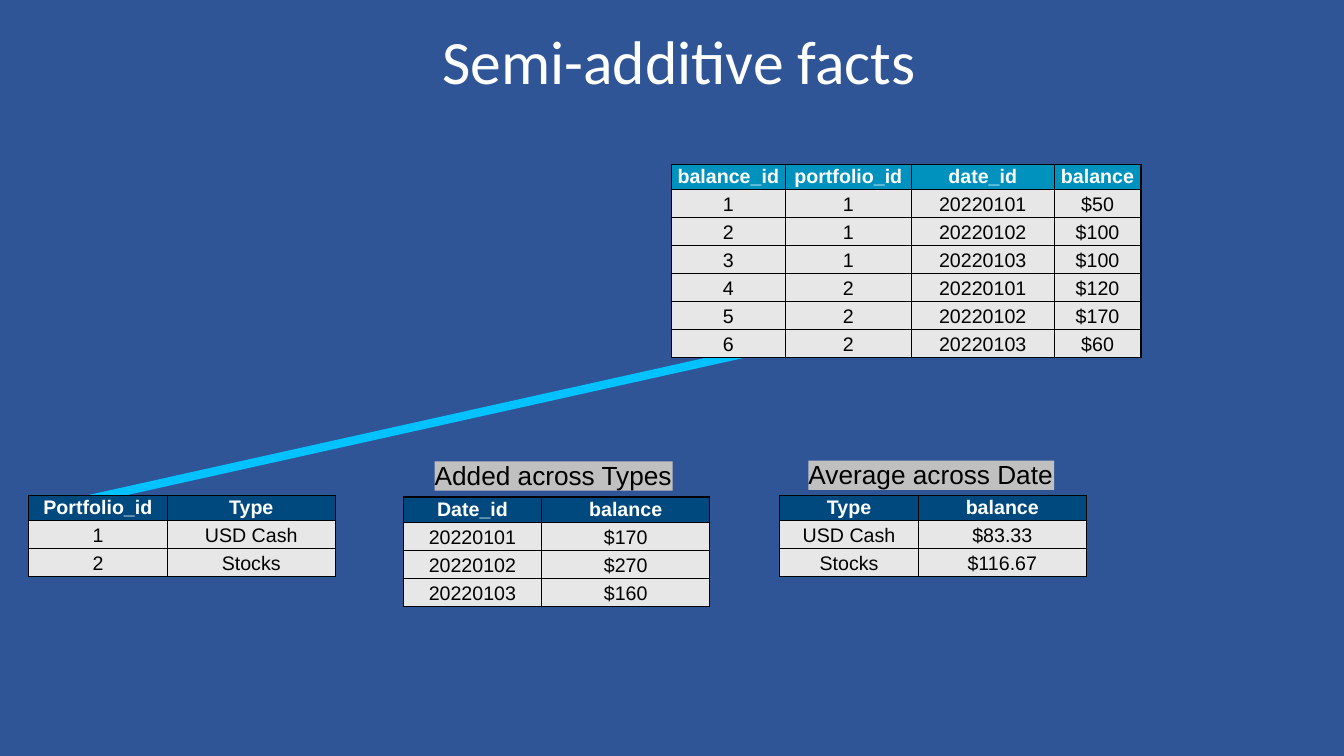
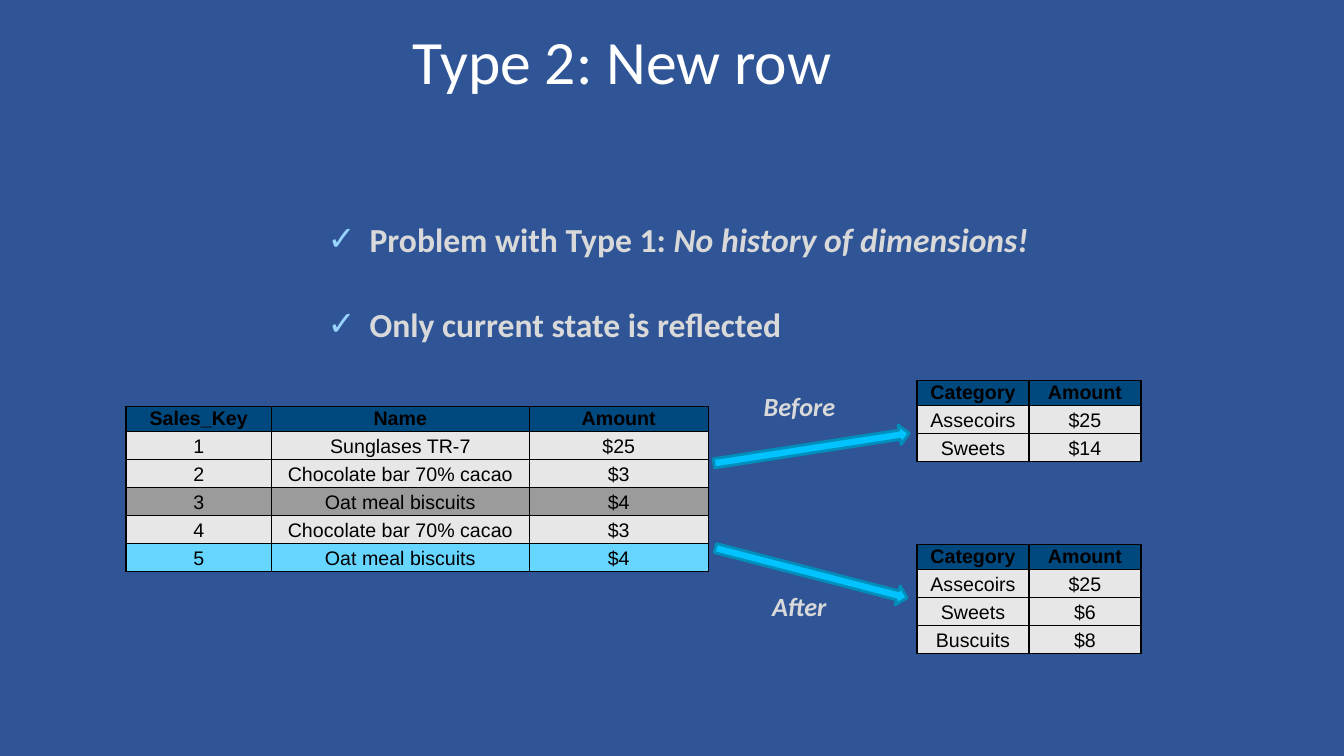
import math

import lxml.etree
import pptx
import pptx.dml.color
import pptx.enum.shapes
import pptx.enum.text
import pptx.oxml
import pptx.oxml.ns
import pptx.util

Pt = pptx.util.Pt
Shape = pptx.enum.shapes.MSO_SHAPE
Align = pptx.enum.text.PP_ALIGN
Anchor = pptx.enum.text.MSO_ANCHOR
qn = pptx.oxml.ns.qn

BACK = "2F5597"
WHITE = "FFFFFF"
BLACK = "000000"
NAVY = "00497E"
TEAL = "0092BE"
PALE = "E7E7E7"
GREY = "9B9B9B"
SKY = "66D5FF"
CYAN = "00C3FF"
EDGE = "008FBB"
SOFT = "D9D9D9"
SILVER = "C0C0C0"
CHECK = "99D3FF"


def paint(part, color):
    if hasattr(part, "solid"):
        part.solid()
        part = part.fore_color
    part.rgb = pptx.dml.color.RGBColor.from_string(color)


def write(para, text, size=14, color=BLACK, font="Arial", bold=False,
          italic=False, align=Align.LEFT):
    para.alignment = align
    run = para.add_run()
    run.text = text
    run.font.size = Pt(size)
    run.font.name = font
    run.font.bold = bold
    run.font.italic = italic
    paint(run.font.color, color)


def place(shape, left, top, width, height):
    shape.left, shape.top = Pt(left), Pt(top)
    shape.width, shape.height = Pt(width), Pt(height)


def frame(shape, anchor=Anchor.TOP, wrap=True):
    box = shape.text_frame
    box.margin_left = box.margin_right = box.margin_top = box.margin_bottom = 0
    box.auto_size = pptx.enum.text.MSO_AUTO_SIZE.NONE
    box.vertical_anchor = anchor
    box.word_wrap = wrap
    return box


def title(slide, text, left):
    shape = slide.shapes.title
    place(shape, left, 15, 400, 55)
    para = frame(shape, Anchor.MIDDLE).paragraphs[0]
    write(para, text, size=44, color=WHITE, font="Calibri")


def border(cell):
    props = cell._tc.get_or_add_tcPr()
    for side in ("a:lnL", "a:lnR", "a:lnT", "a:lnB"):
        line = lxml.etree.SubElement(props, qn(side), w=str(Pt(1)))
        fill = lxml.etree.SubElement(line, qn("a:solidFill"))
        lxml.etree.SubElement(fill, qn("a:srgbClr"), val=BLACK)


def table(slide, left, top, widths, rows, fill=NAVY, color=WHITE, marks={}):
    heights = [18] + [20] * (len(rows) - 1)
    grid = slide.shapes.add_table(
        len(rows), len(widths), Pt(left), Pt(top),
        Pt(sum(widths)), Pt(sum(heights))).table
    for col, width in zip(grid.columns, widths):
        col.width = Pt(width)
    for i, (row, height) in enumerate(zip(rows, heights)):
        grid.rows[i].height = Pt(height)
        head = i == 0
        for j, text in enumerate(row):
            cell = grid.cell(i, j)
            cell.margin_left = cell.margin_right = cell.margin_bottom = 0
            cell.margin_top = Pt(1 if head else 3)
            border(cell)
            paint(cell.fill, fill if head else marks.get(i, PALE))
            write(cell.text_frame.paragraphs[0], text, bold=head,
                  color=color if head else BLACK, align=Align.CENTER)


def label(slide, text, left, top, width):
    shape = slide.shapes.add_shape(
        Shape.RECTANGLE, Pt(left), Pt(top), Pt(width), Pt(21))
    shape.shadow.inherit = False
    paint(shape.fill, SILVER)
    shape.line.fill.background()
    para = frame(shape, wrap=False).paragraphs[0]
    para.line_spacing = Pt(20.7)
    write(para, text, size=18.7)


def note(slide, text, left, top):
    shape = slide.shapes.add_textbox(Pt(left), Pt(top), Pt(60), Pt(23))
    write(frame(shape, wrap=False).paragraphs[0], text, size=18.7,
          color=SOFT, font="Calibri", bold=True, italic=True)


def link(slide, start, end):
    line = slide.shapes.add_connector(
        pptx.enum.shapes.MSO_CONNECTOR.STRAIGHT, *map(Pt, start + end))
    paint(line.line.fill, "00C2FF")
    line.line.width = Pt(6)
    lxml.etree.SubElement(line._element.spPr, qn("a:effectLst"))


def arrow(slide, start, end):
    (x, y), (u, v) = start, end
    size = math.dist(start, end)
    thick = 14
    shape = slide.shapes.add_shape(
        Shape.RIGHT_ARROW, Pt((x + u - size) / 2), Pt((y + v - thick) / 2),
        Pt(size), Pt(thick))
    shape.rotation = math.degrees(math.atan2(v - y, u - x))
    shape.adjustments[0] = 0.47
    shape.adjustments[1] = 0.5
    shape.shadow.inherit = False
    paint(shape.fill, CYAN)
    paint(shape.line.fill, EDGE)
    shape.line.width = Pt(2)


def bullet(para):
    props = para._p.get_or_add_pPr()
    props.set("marL", str(Pt(31.5)))
    props.set("indent", str(Pt(-30)))
    tint = lxml.etree.SubElement(props, qn("a:buClr"))
    lxml.etree.SubElement(tint, qn("a:srgbClr"), val=CHECK)
    lxml.etree.SubElement(props, qn("a:buFont"), typeface="Arial")
    lxml.etree.SubElement(props, qn("a:buChar"), char="✓")


def points(slide, items):
    shape = slide.placeholders[1]
    place(shape, 232.5, 156.5, 506, 95)
    box = frame(shape)
    for i, runs in enumerate(items):
        para = box.add_paragraph() if i else box.paragraphs[0]
        bullet(para)
        para.space_before = Pt(31.5 if i else 0)
        for text, italic in runs:
            write(para, text, size=24, color=SOFT, font="Calibri",
                  bold=True, italic=italic)


def facts(slide):
    title(slide, "Semi-additive facts", 316)
    link(slide, (624, 232), (64, 356.5))
    table(slide, 479.5, 117.5, [81.5, 90, 102, 62], [
        ["balance_id", "portfolio_id", "date_id", "balance"],
        ["1", "1", "20220101", "$50"],
        ["2", "1", "20220102", "$100"],
        ["3", "1", "20220103", "$100"],
        ["4", "2", "20220101", "$120"],
        ["5", "2", "20220102", "$170"],
        ["6", "2", "20220103", "$60"],
    ], fill=TEAL)
    pair = [99, 120]
    table(slide, 20.5, 354, pair, [
        ["Portfolio_id", "Type"],
        ["1", "USD Cash"],
        ["2", "Stocks"],
    ])
    table(slide, 288, 355, pair, [
        ["Date_id", "balance"],
        ["20220101", "$170"],
        ["20220102", "$270"],
        ["20220103", "$160"],
    ])
    table(slide, 557, 354, pair, [
        ["Type", "balance"],
        ["USD Cash", "$83.33"],
        ["Stocks", "$116.67"],
    ])
    label(slide, "Added across Types", 310.5, 329.5, 170)
    label(slide, "Average across Date", 577.5, 329, 175.5)


def history(slide):
    title(slide, "Type 2: New row", 295)
    points(slide, [
        [("Problem with Type 1: ", False),
         ("No history of dimensions!", True)],
        [("Only current state is reflected", False)],
    ])
    table(slide, 90, 290.5, [104, 184, 128], [
        ["Sales_Key", "Name", "Amount"],
        ["1", "Sunglases TR-7", "$25"],
        ["2", "Chocolate bar 70% cacao", "$3"],
        ["3", "Oat meal biscuits", "$4"],
        ["4", "Chocolate bar 70% cacao", "$3"],
        ["5", "Oat meal biscuits", "$4"],
    ], color=BLACK, marks={3: GREY, 5: SKY})
    head = ["Category", "Amount"]
    first = ["Assecoirs", "$25"]
    for top, rows in (
        (271.5, [["Sweets", "$14"]]),
        (389, [["Sweets", "$6"], ["Buscuits", "$8"]]),
    ):
        table(slide, 655, top, [80, 80], [head, first] + rows, color=BLACK)
    arrow(slide, (510, 331), (649.5, 309.5))
    arrow(slide, (511, 391.5), (648, 427))
    note(slide, "Before", 545.5, 279)
    note(slide, "After", 551.5, 421.5)


def main():
    deck = pptx.Presentation()
    deck.slide_width, deck.slide_height = Pt(960), Pt(540)
    paint(deck.slide_master.background.fill, BACK)
    for layout, build in ((5, facts), (1, history)):
        build(deck.slides.add_slide(deck.slide_layouts[layout]))
    deck.save("out.pptx")


if __name__ == "__main__":
    main()
